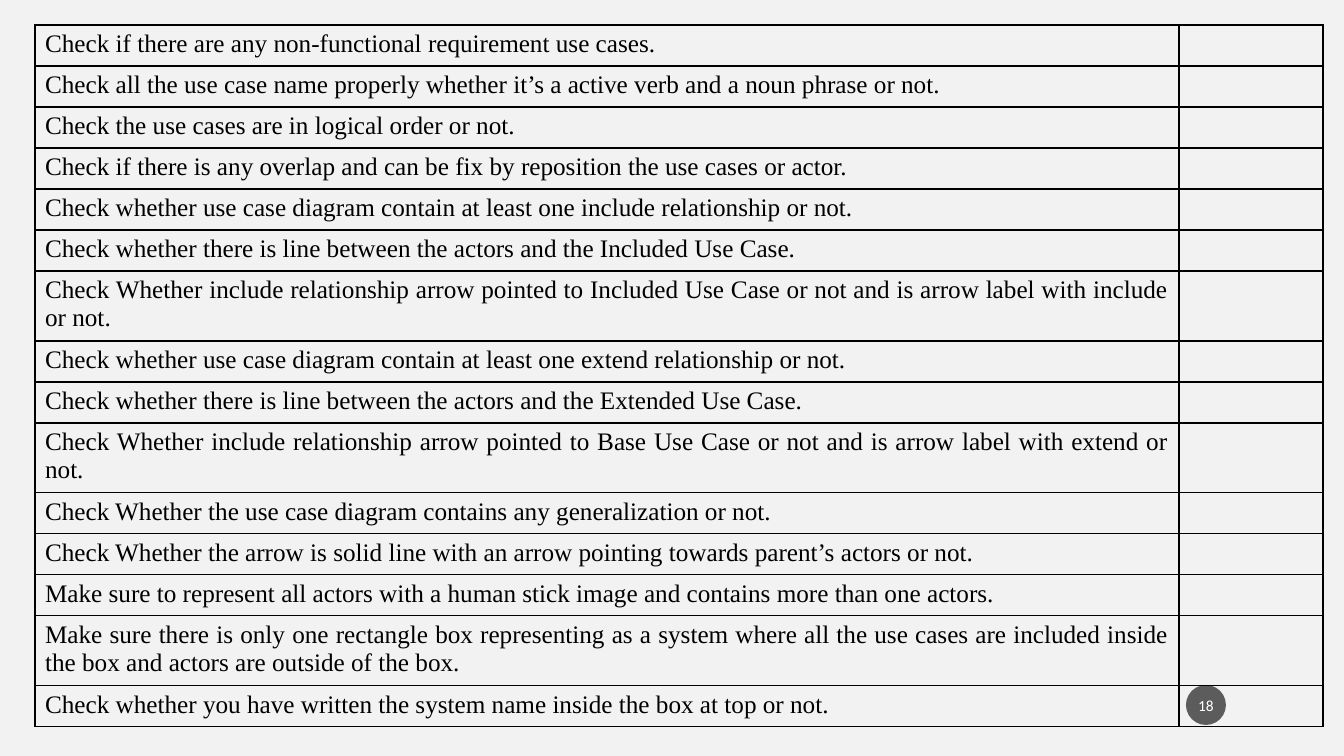
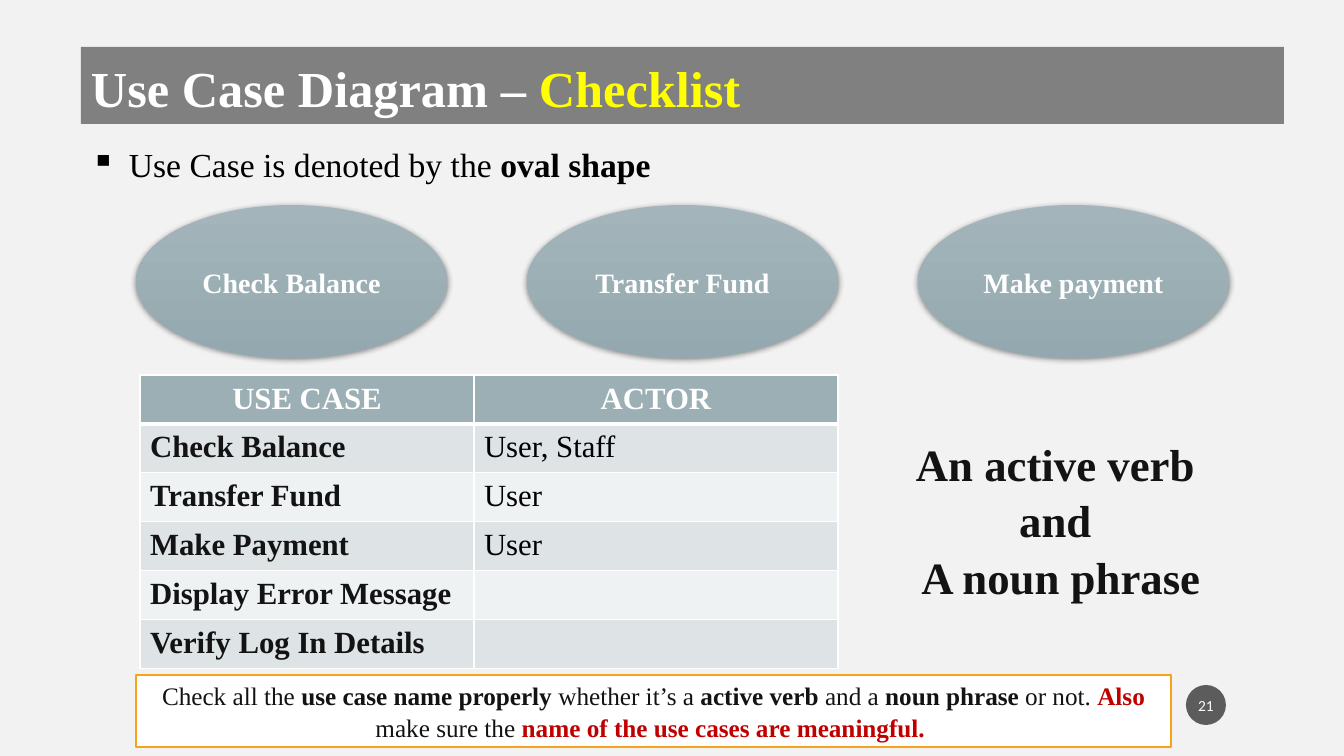
import pptx
import pptx.util
import pptx.dml.color
import pptx.enum.shapes
import pptx.enum.text
import pptx.oxml
import pptx.oxml.ns

# ---- Shared look ----
SERIF, SANS = "Times New Roman", "Calibri"
BLACK, WHITE, INK = "000000", "FFFFFF", "131313"
PAGE, BAR, BADGE = "F2F2F2", "808080", "1D1D1D"
YELLOW, RED, ORANGE = "FFFF00", "C00000", "F6A21D"
SLATE, SLATE_LIGHT, SLATE_DARK = "9BAFB5", "A3B5BB", "93A9AF"
BANDS = ("DEE3E5", "EFF2F3")
LINE_SPACING = 1.05
PX_PER_INCH = 100.8

SHAPES = pptx.enum.shapes.MSO_SHAPE
LEFT = pptx.enum.text.PP_ALIGN.LEFT
CENTER = pptx.enum.text.PP_ALIGN.CENTER
JUSTIFY = pptx.enum.text.PP_ALIGN.JUSTIFY
MIDDLE = pptx.enum.text.MSO_ANCHOR.MIDDLE
TOP = pptx.enum.text.MSO_ANCHOR.TOP

# ---- Content: checklist slide (text, lines it takes) ----
CHECKLIST = [
    ("Check if there are any non-functional requirement use cases.", 1),
    ("Check all the use case name properly whether it’s a active verb and a noun phrase or not.", 1),
    ("Check the use cases are in logical order or not.", 1),
    ("Check if there is any overlap and can be fix by reposition the use cases or actor.", 1),
    ("Check whether use case diagram contain at least one include relationship or not.", 1),
    ("Check whether there is line between the actors and the Included Use Case.", 1),
    ("Check Whether include relationship arrow pointed to Included Use Case or not "
     "and is arrow label with include or not.", 2),
    ("Check whether use case diagram contain at least one extend relationship or not.", 1),
    ("Check whether there is line between the actors and the Extended Use Case.", 1),
    ("Check Whether include relationship arrow pointed to Base Use Case or not "
     "and is arrow label with extend or not.", 2),
    ("Check Whether the use case diagram contains any generalization or not.", 1),
    ("Check Whether the arrow is solid line with an arrow pointing towards parent’s actors or not.", 1),
    ("Make sure to represent all actors with a human stick image and contains more than one actors.", 1),
    ("Make sure there is only one rectangle box representing as a system where all the use cases "
     "are included inside the box and actors are outside of the box.", 2),
    ("Check whether you have written the system name inside the box at top or not.", 1),
]
CHECKLIST_ROW = {1: 41, 2: 70}

# ---- Content: oval slide; runs are (text, colour, bold) ----
TITLE = [("Use Case Diagram – ", WHITE, True), ("Checklist", YELLOW, True)]
BULLET = [("Use Case is denoted by the ", BLACK, False), ("oval shape", BLACK, True)]
OVALS = ["Check Balance", "Transfer Fund", "Make payment"]
NAMING_RULE = ["An active verb ", "and ", "A noun phrase"]
USE_CASES = [
    ("USE CASE", "ACTOR"),
    ("Check Balance", "User, Staff"),
    ("Transfer Fund", "User"),
    ("Make Payment", "User"),
    ("Display Error Message", ""),
    ("Verify Log In Details", ""),
]
REMINDER = [
    ("Check all the ", INK, False), ("use case name properly ", INK, True),
    ("whether it’s a ", INK, False), ("active verb ", INK, True),
    ("and a ", INK, False), ("noun phrase ", INK, True),
    ("or not. ", INK, False), ("Also ", RED, True),
    ("make sure the ", INK, False), ("name of the use cases are meaningful. ", RED, True),
]


# ---- Helpers ----
def px(n):
    return pptx.util.Emu(round(n * 914400 / PX_PER_INCH))


def rgb(code):
    return pptx.dml.color.RGBColor.from_string(code)


def xml(text):
    return pptx.oxml.parse_xml(text.replace(
        "NS", 'xmlns:a="http://schemas.openxmlformats.org/drawingml/2006/main"', 1))


def write(frame, paragraphs, size, align=LEFT, font=SERIF, anchor=MIDDLE, spacing=LINE_SPACING):
    """Fill a text frame; each paragraph is a list of (text, colour, bold)."""
    frame.word_wrap = True
    frame.vertical_anchor = anchor
    for i, runs in enumerate(paragraphs):
        paragraph = frame.paragraphs[0] if i == 0 else frame.add_paragraph()
        paragraph.alignment = align
        paragraph.line_spacing = spacing
        for text, colour, bold in runs:
            run = paragraph.add_run()
            run.text = text
            run.font.name, run.font.size, run.font.bold = font, pptx.util.Pt(size), bold
            run.font.color.rgb = rgb(colour)


def add_block(slide, kind, box, fill, line=None):
    block = slide.shapes.add_shape(kind, *map(px, box))
    block.shadow.inherit = False
    if fill:
        block.fill.solid()
        block.fill.fore_color.rgb = rgb(fill)
    if line:
        block.line.color.rgb = rgb(line)
        block.line.width = pptx.util.Pt(1)
    else:
        block.line.fill.background()
    return block


def add_oval(slide, box, label):
    oval = add_block(slide, SHAPES.OVAL, box, None)
    oval.fill.gradient()
    oval.fill.gradient_angle = 270
    for stop, colour in zip(oval.fill.gradient_stops, (SLATE_LIGHT, SLATE_DARK)):
        stop.color.rgb = rgb(colour)
    effects = oval.element.spPr.find(pptx.oxml.ns.qn("a:effectLst"))
    effects.append(xml(
        '<a:outerShdw NS blurRad="55880" dist="15240" dir="5400000" algn="ctr" rotWithShape="0">'
        '<a:srgbClr val="000000"><a:alpha val="45000"/></a:srgbClr></a:outerShdw>'))
    write(oval.text_frame, [[(label, WHITE, True)]], 20, CENTER)


def add_grid(slide, left, top, widths, heights):
    table = slide.shapes.add_table(
        len(heights), len(widths), px(left), px(top), px(sum(widths)), px(sum(heights))).table
    table.first_row = table.horz_banding = False
    for column, width in zip(table.columns, widths):
        column.width = px(width)
    for row, height in zip(table.rows, heights):
        row.height = px(height)
    return table


def style_cell(cell, line, fill=None, top=1, bottom=1):
    properties = cell._tc.get_or_add_tcPr()
    for side, width in (("L", 1), ("R", 1), ("T", top), ("B", bottom)):
        properties.append(xml(
            f'<a:ln{side} NS w="{width * 12700}"><a:solidFill><a:srgbClr val="{line}"/>'
            f'</a:solidFill></a:ln{side}>'))
    if fill:
        cell.fill.solid()
        cell.fill.fore_color.rgb = rgb(fill)
    else:
        cell.fill.background()


def new_slide(deck, number):
    slide = deck.slides.add_slide(deck.slide_layouts[6])
    slide.background.fill.solid()
    slide.background.fill.fore_color.rgb = rgb(PAGE)
    # Page number badge
    badge = add_block(slide, SHAPES.OVAL, (1186, 685, 40, 40), BADGE)
    tint = badge.element.spPr.find(".//" + pptx.oxml.ns.qn("a:srgbClr"))
    tint.append(xml('<a:alpha NS val="70000"/>'))
    frame = badge.text_frame
    frame.margin_left = frame.margin_right = px(2)
    write(frame, [[(str(number), WHITE, False)]], 11, CENTER, SANS, spacing=1.0)
    return slide


# ---- Slides ----
def build_checklist(deck):
    slide = new_slide(deck, 18)
    heights = [CHECKLIST_ROW[lines] for _, lines in CHECKLIST]
    table = add_grid(slide, 35, 25, (1144, 144), heights)
    for r, (check, _) in enumerate(CHECKLIST):
        for c in range(2):
            style_cell(table.cell(r, c), BLACK)
        write(table.cell(r, 0).text_frame, [[(check, BLACK, False)]], 18, JUSTIFY,
              anchor=TOP, spacing=1.0)


def build_ovals(deck):
    slide = new_slide(deck, 21)

    # Title bar and bullet
    bar = add_block(slide, SHAPES.RECTANGLE, (81, 47, 1203, 77), BAR)
    write(bar.text_frame, [TITLE], 36)
    statement = slide.shapes.add_textbox(px(81), px(137), px(1203), px(50)).text_frame
    write(statement, [BULLET], 24, JUSTIFY, anchor=TOP)
    properties = statement.paragraphs[0]._p.get_or_add_pPr()
    properties.set("marL", str(px(38)))
    properties.set("indent", str(-px(38)))
    properties.append(xml('<a:buChar NS char="▪"/>'))

    # Use case ovals
    for i, label in enumerate(OVALS):
        add_oval(slide, (136 + i * 391, 205, 311, 153), label)

    # Naming rule
    rule = slide.shapes.add_textbox(px(838), px(429), px(446), px(173)).text_frame
    write(rule, [[(line, INK, True)] for line in NAMING_RULE], 32, CENTER, anchor=TOP)

    # Use case and actor table
    table = add_grid(slide, 140, 375, (334, 364), [47] * len(USE_CASES))
    for r, row in enumerate(USE_CASES):
        header = r == 0
        for c, text in enumerate(row):
            cell = table.cell(r, c)
            style_cell(cell, WHITE, SLATE if header else BANDS[(r - 1) % 2],
                       top=3 if r == 1 else 1, bottom=3 if header else 1)
            colour = WHITE if header else (INK, BLACK)[c]
            if text:
                write(cell.text_frame, [[(text, colour, header or c == 0)]], 22,
                      CENTER if header else LEFT, anchor=TOP)

    # Reminder
    reminder = add_block(slide, SHAPES.RECTANGLE, (136, 675, 1035, 72), WHITE, ORANGE)
    write(reminder.text_frame, [REMINDER], 18, CENTER)


def main():
    deck = pptx.Presentation()
    deck.slide_width, deck.slide_height = px(1344), px(756)
    build_checklist(deck)
    build_ovals(deck)
    deck.save("out.pptx")


if __name__ == "__main__":
    main()
